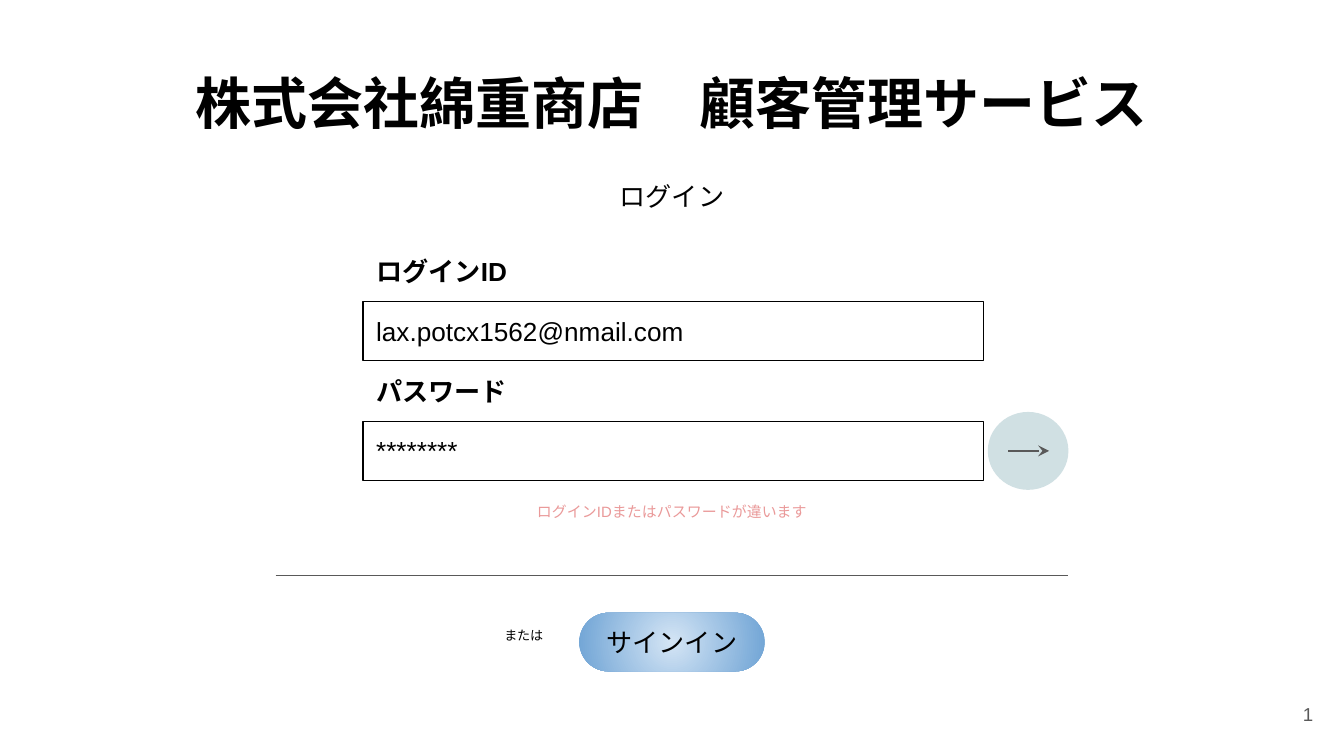
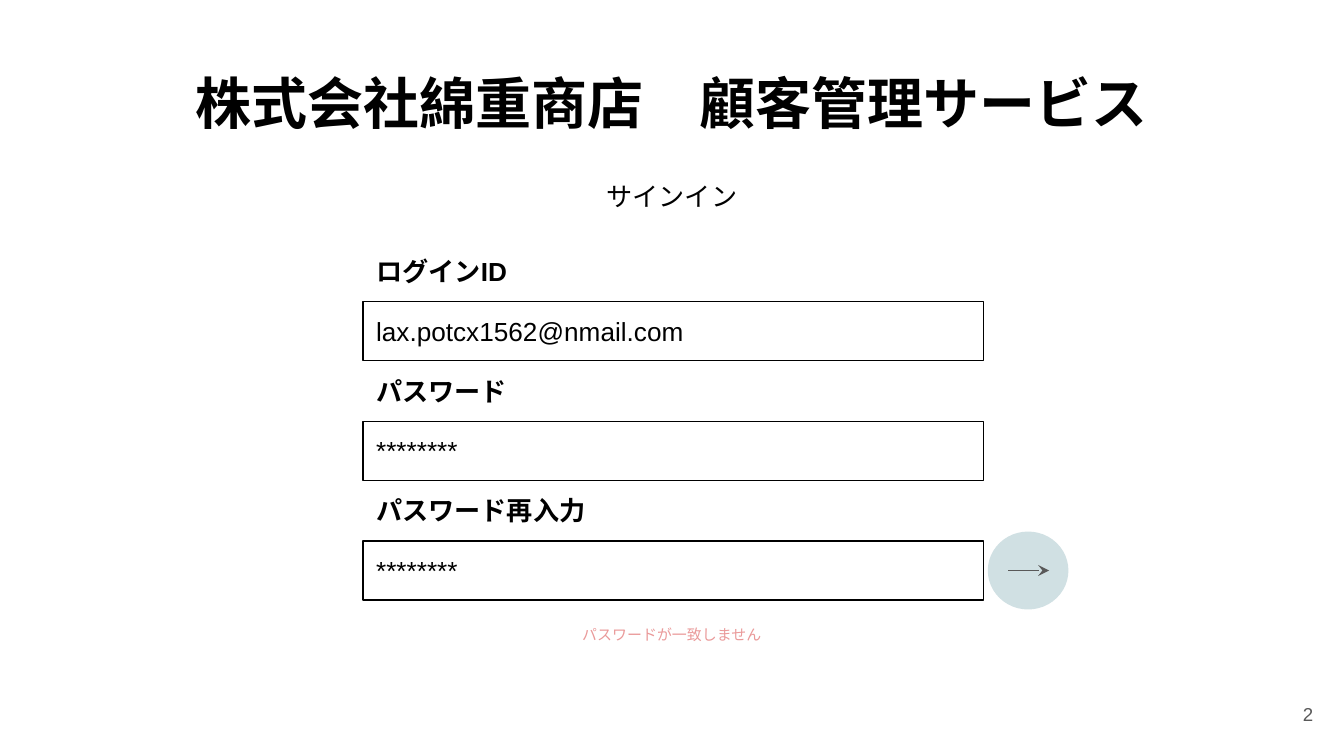
from pptx import Presentation
from pptx import util as u
from pptx.dml.color import RGBColor
from pptx.enum import shapes, text
from pptx.oxml import parse_xml
from pptx.oxml.ns import nsdecls, qn

COLORS = {
    "ink": "000000",
    "muted": "595959",
    "error": "EA9999",
    "disc": "D0E0E3",
    "glow": "D4E5F5",
    "button": "70A4D5",
}
FONT = "Arial"
LEFT, CENTER, RIGHT = text.PP_ALIGN.LEFT, text.PP_ALIGN.CENTER, text.PP_ALIGN.RIGHT
RECT = shapes.MSO_SHAPE.RECTANGLE

deck = Presentation()
deck.slide_width, deck.slide_height = u.Inches(10), u.Inches(5.625)
CELL = deck.slide_width / 100

FORM_LEFT, FORM_TOP, FORM_WIDTH = 27, 18, 46.2
ROW = 4.45
FIELD_HEIGHT = 4.4
DISC_LEFT, DISC_WIDTH, DISC_HEIGHT = 73.5, 6, 5.8


def write(box, words, size, color="ink", align=LEFT, bold=False, middle=False):
    frame = box.text_frame
    frame.word_wrap = True
    frame.margin_left = frame.margin_right = round(CELL)
    frame.margin_top = frame.margin_bottom = round(CELL)
    frame.vertical_anchor = text.MSO_ANCHOR.MIDDLE if middle else text.MSO_ANCHOR.TOP
    frame.auto_size = text.MSO_AUTO_SIZE.NONE if middle else text.MSO_AUTO_SIZE.SHAPE_TO_FIT_TEXT
    para = frame.paragraphs[0]
    para.alignment = align
    span = para.add_run()
    span.text = words
    span.font.size = u.Pt(size)
    span.font.bold = bold
    span.font.color.rgb = RGBColor.from_string(COLORS[color])
    span.font.name = FONT
    span.font._element.append(parse_xml(f'<a:ea {nsdecls("a")} typeface="{FONT}"/>'))


def draw_line(parent, left, right, top, arrow=False):
    line = parent.add_connector(
        shapes.MSO_CONNECTOR.STRAIGHT,
        *[round(n * CELL) for n in (left, top, right, top)])
    line.line.color.rgb = RGBColor.from_string(COLORS["muted"])
    line.line.width = u.Pt(0.75)
    if arrow:
        line.line._get_or_add_ln().append(
            parse_xml(f'<a:tailEnd {nsdecls("a")} type="stealth"/>'))
    line._element.spPr.append(parse_xml(f'<a:effectLst {nsdecls("a")}/>'))


ACCOUNT = [("ログインID", "lax.potcx1562@nmail.com"), ("パスワード", "********")]
SCREENS = [
    ("ログイン", ACCOUNT, "ログインIDまたはパスワードが違います", 36.7),
    ("サインイン", ACCOUNT + [("パスワード再入力", "********")], "パスワードが一致しません", 45.9),
]

for number, (heading, fields, error, error_top) in enumerate(SCREENS, 1):
    page = deck.slides.add_slide(deck.slide_layouts[6])

    captions = [
        ((13.5, 4.1, 73, 7.1), "株式会社綿重商店　顧客管理サービス", 30, "ink", CENTER, True, False),
        ((26.9, 12.4, FORM_WIDTH, FIELD_HEIGHT), heading, 14, "ink", CENTER, False, False),
        ((30.6, error_top, 38.8, 3.4), error, 8, "error", CENTER, False, False),
        ((92.7, 51, 6, 4.3), str(number), 10, "muted", RIGHT, False, True),
    ]
    for index, (label, value) in enumerate(fields):
        label_top = FORM_TOP + 2 * index * ROW
        field_top = label_top + ROW
        captions.append(((FORM_LEFT, label_top, FORM_WIDTH, FIELD_HEIGHT),
                         label, 14, "ink", LEFT, True, False))
        field = page.shapes.add_shape(
            RECT, *[round(n * CELL) for n in (FORM_LEFT, field_top, FORM_WIDTH, FIELD_HEIGHT)])
        field.shadow.inherit = False
        field.fill.background()
        field.line.color.rgb = RGBColor.from_string(COLORS["ink"])
        field.line.width = u.Pt(0.75)
        write(field, value, 14)

    group = page.shapes.add_group_shape()
    disc_top = field_top + (FIELD_HEIGHT - DISC_HEIGHT) / 2
    disc = group.shapes.add_shape(
        shapes.MSO_SHAPE.OVAL,
        *[round(n * CELL) for n in (DISC_LEFT, disc_top, DISC_WIDTH, DISC_HEIGHT)])
    disc.shadow.inherit = False
    disc.fill.solid()
    disc.fill.fore_color.rgb = RGBColor.from_string(COLORS["disc"])
    disc.line.fill.background()
    draw_line(group.shapes, DISC_LEFT + DISC_WIDTH / 4, DISC_LEFT + DISC_WIDTH * 0.76,
              disc_top + DISC_HEIGHT / 2, arrow=True)

    if number == 1:
        draw_line(page.shapes, 20.5, 79.5, 42.8)
        captions.append(((29.9, 46.1, 11.5, 3.2), "または", 7, "ink", RIGHT, False, False))
        button = page.shapes.add_shape(
            shapes.MSO_SHAPE.ROUNDED_RECTANGLE,
            *[round(n * CELL) for n in (43.1, 45.6, 13.8, 4.35)])
        button.adjustments[0] = 0.5
        button.shadow.inherit = False
        button.line.fill.background()
        button.fill.gradient()
        for stop, position, color in zip(button.fill.gradient_stops, (0, 1), ("glow", "button")):
            stop.position = position
            stop.color.rgb = RGBColor.from_string(COLORS[color])
        gradient = button._element.spPr.find(qn("a:gradFill"))
        gradient.replace(gradient.find(qn("a:lin")), parse_xml(
            f'<a:path {nsdecls("a")} path="circle">'
            '<a:fillToRect l="50000" t="50000" r="50000" b="50000"/></a:path>'))
        write(button, "サインイン", 14, align=CENTER, middle=True)

    for area, *style in captions:
        write(page.shapes.add_textbox(*[round(n * CELL) for n in area]), *style)

deck.save("out.pptx")
